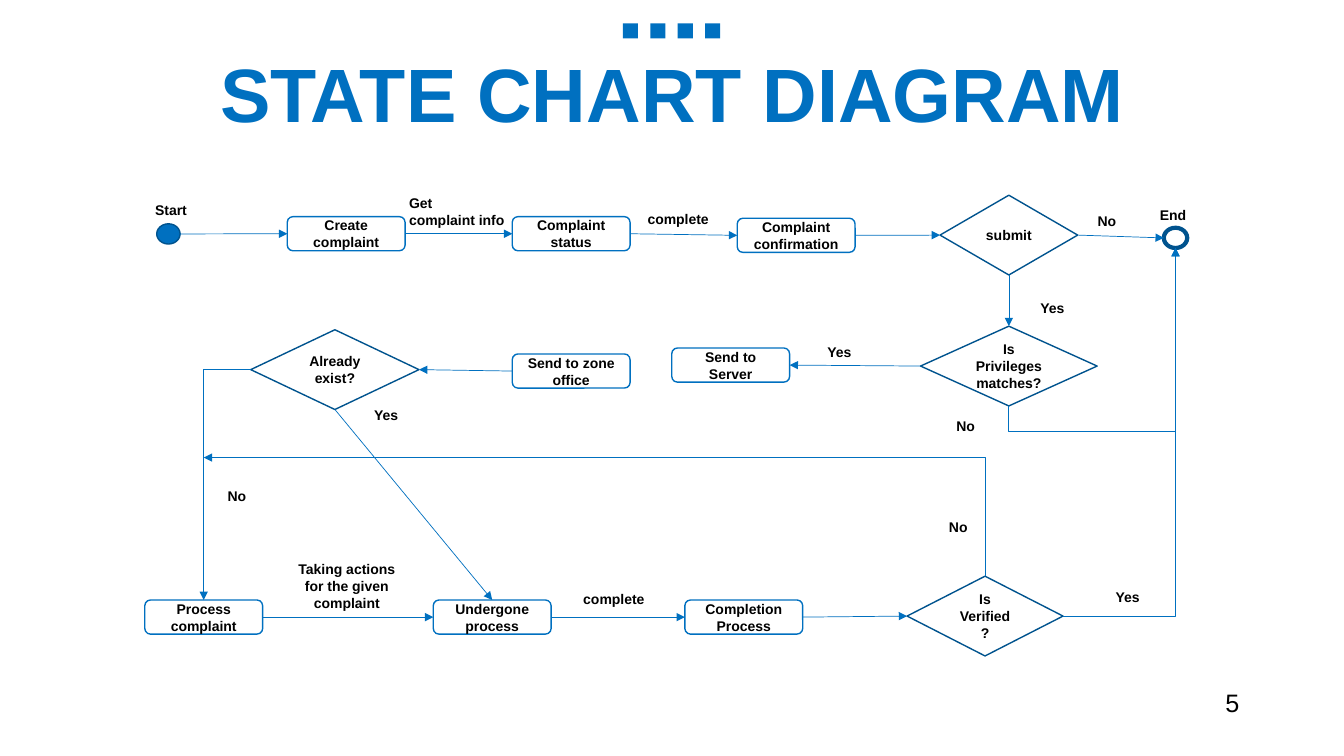
import lxml.etree
import pptx
import pptx.dml.color
import pptx.enum.shapes
import pptx.enum.text
import pptx.oxml.ns
import pptx.util

Cm = pptx.util.Cm
Kind = pptx.enum.shapes.MSO_SHAPE
Wire = pptx.enum.shapes.MSO_CONNECTOR
Align = pptx.enum.text.PP_ALIGN
MID = pptx.enum.text.MSO_ANCHOR.MIDDLE
GROW = pptx.enum.text.MSO_AUTO_SIZE.SHAPE_TO_FIT_TEXT
qn = pptx.oxml.ns.qn

HUES = {"blue": "0070C0", "navy": "00538E", "white": "FFFFFF", "black": "000000"}
BASE = {"name": "Arial", "size": pptx.util.Pt(10), "bold": True}
TITLE = {"size": pptx.util.Pt(54)}
FOLIO = {"size": pptx.util.Pt(18), "bold": False}
TOP, LEFT, BOTTOM, RIGHT = range(4)
BOX, GEM, DOT = Kind.ROUNDED_RECTANGLE, Kind.DIAMOND, Kind.OVAL


def hue(name):
    return pptx.dml.color.RGBColor.from_string(HUES[name])


class Chart:
    def __init__(self, slide):
        self.slide = slide

    def words(self, frame, text, align, tone="black", form=None):
        frame.word_wrap = True
        for num, line in enumerate(text.split("\n")):
            para = frame.add_paragraph() if num else frame.paragraphs[0]
            para.alignment = align
            run = para.add_run()
            run.text = line
            for key, value in {**BASE, **(form or {})}.items():
                setattr(run.font, key, value)
            run.font.color.rgb = hue(tone)

    def node(self, kind, x, y, w, h, text="", fill="white", line="blue", width=1):
        shape = self.slide.shapes.add_shape(kind, Cm(x), Cm(y), Cm(w), Cm(h))
        shape.shadow.inherit = False
        shape.fill.solid()
        shape.fill.fore_color.rgb = hue(fill)
        if line:
            shape.line.color.rgb = hue(line)
            shape.line.width = pptx.util.Pt(width)
        else:
            shape.line.fill.background()
        if text:
            shape.text_frame.vertical_anchor = MID
            self.words(shape.text_frame, text, Align.CENTER)
        return shape

    def label(self, x, y, w, h, text, align=Align.CENTER, **style):
        box = self.slide.shapes.add_textbox(Cm(x), Cm(y), Cm(w), Cm(h))
        self.words(box.text_frame, text, align, **style)
        box.text_frame.auto_size = GROW
        return box

    def port(self, shape, side):
        dx, dy = [(1, 0), (0, 1), (1, 2), (2, 1)][side]
        return shape.left + shape.width * dx // 2, shape.top + shape.height * dy // 2

    def link(self, start, out, end, side, bend=None, turn=False, shift=None):
        x1, y1 = self.port(start, out)
        x2, y2 = end if side is None else self.port(end, side)
        wire = Wire.ELBOW if bend else Wire.STRAIGHT
        conn = self.slide.shapes.add_connector(wire, x1, y1, x2, y2)
        conn.line.color.rgb = hue("blue")
        conn.line.width = pptx.util.Pt(0.5)
        glue = conn._element.nvCxnSpPr.cNvCxnSpPr
        for tag, shape, spot in (("a:stCxn", start, out), ("a:endCxn", end, side)):
            if spot is not None:
                step = 2 if shape.auto_shape_type == DOT else 1
                lxml.etree.SubElement(glue, qn(tag), id=str(shape.shape_id), idx=str(spot * step))
        prop = conn._element.spPr
        if bend:
            geom = prop.find(qn("a:prstGeom"))
            geom.set("prst", bend)
            if shift is not None:
                lxml.etree.SubElement(geom.find(qn("a:avLst")), qn("a:gd"), name="adj1", fmla=f"val {shift}")
        if turn:
            wide, high = abs(y2 - y1), abs(x2 - x1)
            conn.left, conn.top = (x1 + x2 - wide) // 2, (y1 + y2 - high) // 2
            conn.width, conn.height = wide, high
            form = prop.find(qn("a:xfrm"))
            for key, value in {"rot": 5400000, "flipH": int(y2 < y1), "flipV": int(x2 > x1)}.items():
                form.set(key, str(value))
        lxml.etree.SubElement(prop.find(qn("a:ln")), qn("a:tailEnd"), type="triangle")
        lxml.etree.SubElement(prop, qn("a:effectLst"))


def main():
    deck = pptx.Presentation()
    deck.slide_width, deck.slide_height = Cm(33.87), Cm(19.05)
    chart = Chart(deck.slides.add_slide(deck.slide_layouts[6]))

    for num in range(4):
        chart.node(Kind.RECTANGLE, 15.7 + 0.69 * num, 0.59, 0.38, 0.38, fill="blue", line=None)
    title = chart.label(0.86, 1.47, 32.16, 2.01, "STATE CHART DIAGRAM", tone="blue", form=TITLE)
    title.text_frame.auto_size = pptx.enum.text.MSO_AUTO_SIZE.NONE
    title.text_frame.vertical_anchor = MID
    title.text_frame.paragraphs[0].line_spacing = 0.9

    nodes = {
        "start": chart.node(DOT, 3.95, 5.64, 0.59, 0.51, fill="blue", line="navy"),
        "end": chart.node(DOT, 29.33, 5.74, 0.59, 0.51, line="navy", width=3),
    }
    for key, x, y, text in (
        ("create", 7.24, 5.46, "Create complaint"),
        ("status", 12.91, 5.46, "Complaint status"),
        ("confirm", 18.58, 5.5, "Complaint confirmation"),
        ("server", 16.93, 8.77, "Send to Server"),
        ("zone", 12.91, 8.92, "Send to zone office"),
        ("process", 3.65, 15.12, "Process complaint"),
        ("work", 10.92, 15.12, "Undergone process"),
        ("done", 17.26, 15.12, "Completion Process"),
    ):
        nodes[key] = chart.node(BOX, x, y, 2.97, 0.86, text)
    for key, x, y, w, text in (
        ("submit", 23.69, 4.92, 3.47, "submit"),
        ("rights", 23.2, 8.22, 4.45, "Is Privileges matches?"),
        ("exist", 6.32, 8.31, 4.24, "Already\nexist?"),
        ("check", 22.86, 14.52, 3.93, "Is Verified?"),
    ):
        nodes[key] = chart.node(GEM, x, y, w, 2.01, text, line="navy")

    for start, out, end, side in (
        ("start", RIGHT, "create", LEFT),
        ("create", RIGHT, "status", LEFT),
        ("status", RIGHT, "confirm", LEFT),
        ("confirm", RIGHT, "submit", LEFT),
        ("submit", RIGHT, "end", LEFT),
        ("submit", BOTTOM, "rights", TOP),
        ("rights", LEFT, "server", RIGHT),
        ("zone", LEFT, "exist", RIGHT),
        ("exist", BOTTOM, "work", TOP),
        ("process", RIGHT, "work", LEFT),
        ("work", RIGHT, "done", LEFT),
        ("done", RIGHT, "check", LEFT),
    ):
        chart.link(nodes[start], out, nodes[end], side)
    chart.link(nodes["exist"], LEFT, nodes["process"], TOP, "bentConnector2")
    chart.link(nodes["check"], RIGHT, nodes["end"], BOTTOM, "bentConnector2")
    merge = chart.port(nodes["process"], TOP)[0], Cm(11.53)
    chart.link(nodes["check"], TOP, merge, None, "bentConnector2", turn=True)
    chart.link(nodes["rights"], BOTTOM, nodes["end"], BOTTOM, "bentConnector3", turn=True, shift=-15900)

    for x, y, w, h, text in (
        (3.66, 4.95, 2.49, 0.68, "Start"),
        (10.06, 4.78, 3.3, 1.11, "Get\ncomplaint info"),
        (28.98, 5.08, 2.49, 0.68, "End"),
        (27.41, 5.23, 2.49, 0.68, "No"),
        (23.85, 10.39, 2.49, 0.68, "No"),
        (20.6, 8.53, 2.49, 0.68, "Yes"),
    ):
        chart.label(x, y, w, h, text, Align.LEFT)
    for x, y, h, text in (
        (15.44, 5.18, 0.68, "complete"),
        (24.87, 7.42, 0.68, "Yes"),
        (8.08, 10.13, 0.68, "Yes"),
        (4.32, 12.17, 0.68, "No"),
        (7.09, 14, 1.54, "Taking actions\nfor the given complaint"),
        (13.82, 14.76, 0.68, "complete"),
        (22.5, 12.93, 0.68, "No"),
        (26.77, 14.71, 0.68, "Yes"),
    ):
        chart.label(x, y, 3.3, h, text)
    chart.label(30.63, 17.2, 2.67, 1.03, "5", Align.LEFT, form=FOLIO)
    deck.save("out.pptx")


if __name__ == "__main__":
    main()
